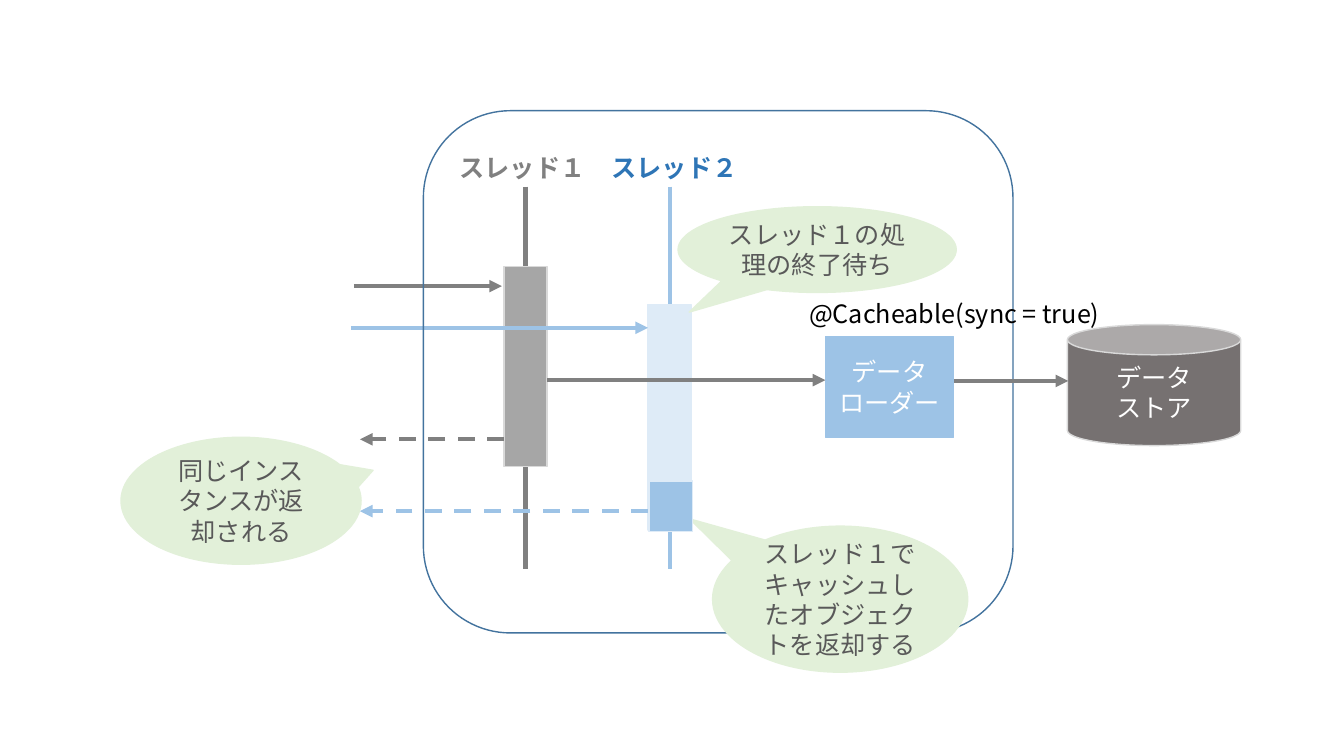
from lxml import etree
from pptx import Presentation
from pptx import util as u
from pptx.dml.color import RGBColor
from pptx.enum import dml, shapes, text
from pptx.oxml.ns import qn

COLORS = {
    "white": "FFFFFF", "black": "000000", "gray": "808080", "bar_gray": "A6A6A6",
    "edge_gray": "D9D9D9", "store": "767171", "note_text": "595959",
    "blue": "9DC3E6", "pale_blue": "DEEBF7", "strong_blue": "2E75B6",
    "frame": "43739E", "note": "E2F0D9",
}
SHAPE = shapes.MSO_SHAPE


def rgb(name):
    return RGBColor.from_string(COLORS[name])


class Diagram:
    """Draws styled elements on one slide; all lengths are centimetres."""

    font = "Noto Sans CJK JP"
    size = 18

    def __init__(self, slide):
        self.slide = slide

    def add_lines(self, frame, lines, color, bold=False, align=None):
        for number, line in enumerate(lines):
            paragraph = frame.add_paragraph() if number else frame.paragraphs[0]
            paragraph.alignment = align
            run = paragraph.add_run()
            run.text = line
            run.font.name = self.font
            run.font.size = u.Pt(self.size)
            run.font.bold = bold
            run.font.color.rgb = rgb(color)
            east_asian = etree.SubElement(run.font._element, qn("a:ea"))
            east_asian.set("typeface", self.font)

    def shape(self, kind, box, fill, edge, lines=(), color="white"):
        shape = self.slide.shapes.add_shape(kind, *map(u.Cm, box))
        shape.shadow.inherit = False
        if fill:
            shape.fill.solid()
            shape.fill.fore_color.rgb = rgb(fill)
        else:
            shape.fill.background()
        shape.line.color.rgb = rgb(edge)
        shape.line.width = u.Pt(1)
        frame = shape.text_frame
        frame.vertical_anchor = text.MSO_ANCHOR.MIDDLE
        self.add_lines(frame, lines, color, align=text.PP_ALIGN.CENTER)
        return shape

    def callout(self, box, tip, message):
        """Add a speech bubble whose tip is a fraction of its size from its centre."""
        bubble = self.shape(SHAPE.OVAL_CALLOUT, box, "note", "note", [message], "note_text")
        bubble.adjustments[0], bubble.adjustments[1] = tip

    def label(self, box, message, color, bold=False):
        frame = self.slide.shapes.add_textbox(*map(u.Cm, box)).text_frame
        frame.word_wrap = False
        frame.auto_size = text.MSO_AUTO_SIZE.SHAPE_TO_FIT_TEXT
        self.add_lines(frame, [message], color, bold)

    def line(self, start, end, color, arrow=True, dashed=False):
        connector = self.slide.shapes.add_connector(
            shapes.MSO_CONNECTOR.STRAIGHT, *map(u.Cm, (*start, *end)))
        connector.line.color.rgb = rgb(color)
        connector.line.width = u.Pt(3)
        if dashed:
            connector.line.dash_style = dml.MSO_LINE.DASH
        properties = connector._element.spPr
        if arrow:
            head = etree.SubElement(properties.find(qn("a:ln")), qn("a:tailEnd"))
            head.set("type", "triangle")
        etree.SubElement(properties, qn("a:effectLst"))


def main():
    presentation = Presentation()
    presentation.slide_width, presentation.slide_height = u.Cm(33.87), u.Cm(19.05)
    diagram = Diagram(presentation.slides.add_slide(presentation.slide_layouts[6]))

    bar_width = 1.09
    thread1_left, thread2_left = 12.7, 16.33
    thread1_right = thread1_left + bar_width

    for left, color in ((thread1_left, "gray"), (thread2_left, "blue")):
        center = left + bar_width / 2
        diagram.line((center, 4.7), (center, 14.35), color, arrow=False)
    diagram.shape(SHAPE.RECTANGLE, (thread1_left, 6.71, bar_width, 5.05),
                  "bar_gray", "edge_gray")
    diagram.shape(SHAPE.RECTANGLE, (thread2_left, 7.67, bar_width, 5.69),
                  "pale_blue", "pale_blue")

    for start, end, y, color, dashed in (
        (8.92, 12.65, 7.21, "gray", False),
        (8.84, thread2_left, 8.26, "blue", False),
        (thread1_right, 20.8, 9.58, "gray", False),
        (thread1_left, 9.07, 11.07, "gray", True),
        (thread2_left, 9.07, 12.88, "blue", True),
    ):
        diagram.line((start, y), (end, y), color, dashed=dashed)

    diagram.shape(SHAPE.ROUNDED_RECTANGLE, (10.67, 2.79, 14.86, 13.16), None, "frame")
    diagram.shape(SHAPE.RECTANGLE, (20.8, 8.48, 3.23, 2.54), "blue", "blue",
                  ["データ", "ローダー"])
    diagram.shape(SHAPE.CAN, (26.9, 8.18, 4.37, 3.05), "store", "edge_gray",
                  ["データ", "ストア"])
    diagram.line((24.05, 9.6), (26.92, 9.6), "gray")

    diagram.label((20.14, 7.39, 8.03, 1.02), "@Cacheable(sync = true)", "black")
    diagram.label((11.33, 3.71, 3.71, 1.02), "スレッド１", "gray", bold=True)
    diagram.label((15.16, 3.71, 3.71, 1.02), "スレッド２", "strong_blue", bold=True)

    diagram.callout((17.96, 13.26, 6.43, 3.68), (-0.59, -0.55),
                    "スレッド１でキャッシュしたオブジェクトを返却する")
    diagram.callout((3.05, 11.02, 6.05, 3.2), (0.55, -0.24),
                    "同じインスタンスが返却される")
    diagram.shape(SHAPE.RECTANGLE, (16.36, 12.12, bar_width, 1.27), "blue", "pale_blue")
    diagram.callout((17.09, 5.21, 7.01, 2.16), (-0.46, 0.73),
                    "スレッド１の処理の終了待ち")

    presentation.save("out.pptx")


if __name__ == "__main__":
    main()
